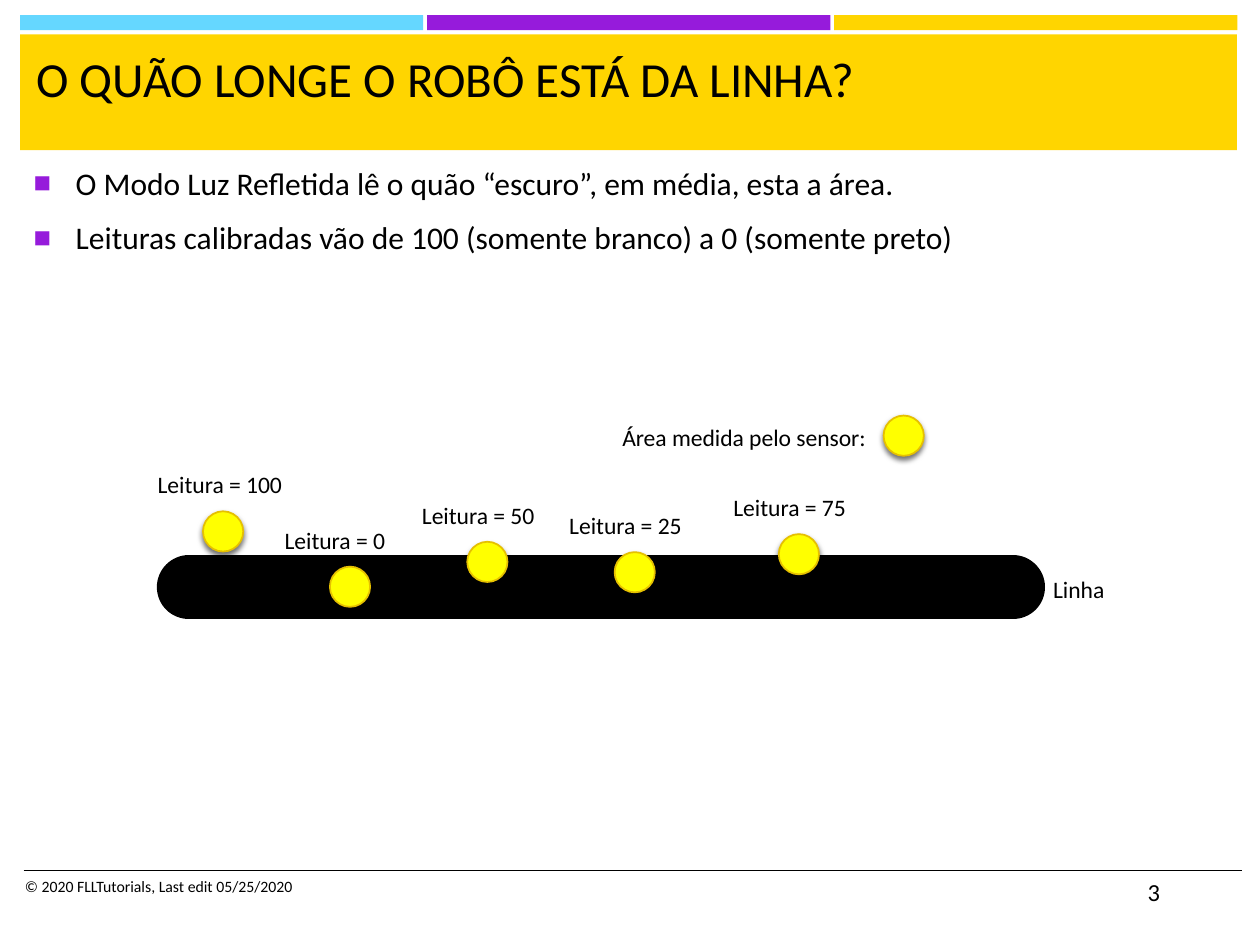
from typing import NamedTuple

from lxml import etree
from pptx import Presentation
from pptx import util as u
from pptx.dml import color
from pptx.enum import shapes, text
from pptx.oxml import ns

BLACK, GOLD, PURPLE, SKY = "000000", "FFD500", "961BDB", "65D7FF"
YELLOW, RIM = "FFFF00", "E6C000"
FACE = "Calibri"
SPOT = 23


class Box(NamedTuple):
    left: float
    top: float
    width: float
    height: float


class Note(NamedTuple):
    box: Box
    words: list[str]
    size: float
    wrap: bool = True
    mark: bool = False


class Probe(NamedTuple):
    left: float
    top: float
    value: int
    width: float


def hue(code: str) -> color.RGBColor:
    return color.RGBColor.from_string(code)


def points(*values: float) -> list[u.Pt]:
    return [u.Pt(value) for value in values]


def put(item, values: dict) -> None:
    for name, value in values.items():
        setattr(item, name, value)


def node(parent, tag: str, **values: str):
    child = etree.SubElement(parent, ns.qn(tag))
    for name, value in values.items():
        child.set(name, value)
    return child


def draw_shape(slide, kind, box: Box, fill: str):
    shape = slide.shapes.add_shape(kind, *points(*box))
    shape.shadow.inherit = False
    shape.fill.solid()
    shape.fill.fore_color.rgb = hue(fill)
    shape.line.fill.background()
    return shape


def draw_spot(slide, left: float, top: float) -> None:
    spot = draw_shape(slide, shapes.MSO_SHAPE.OVAL, Box(left, top, SPOT, SPOT), YELLOW)
    spot.line.color.rgb = hue(RIM)
    spot.line.width = u.Pt(1)
    glow = spot.element.spPr.find(ns.qn("a:effectLst"))
    shade = node(glow, "a:outerShdw", blurRad=str(u.Pt(3)), dist=str(u.Pt(2)),
                 dir="5400000", rotWithShape="0")
    node(node(shade, "a:srgbClr", val=BLACK), "a:alpha", val="55000")


def draw_line(slide, left: float, right: float, level: float, width: float, cap: str) -> None:
    line = slide.shapes.add_connector(
        shapes.MSO_CONNECTOR.STRAIGHT, *points(left, level, right, level))
    line.line.color.rgb = hue(BLACK)
    line.line.width = u.Pt(width)
    line.line._ln.set("cap", cap)
    node(line.element.spPr, "a:effectLst")


def add_mark(para) -> None:
    props = para._p.get_or_add_pPr()
    put(para, {"space_after": u.Pt(6)})
    props.set("marL", str(u.Pt(24)))
    props.set("indent", str(u.Pt(-24)))
    node(node(props, "a:buClr"), "a:srgbClr", val=PURPLE)
    node(props, "a:buSzPct", val="92000")
    node(props, "a:buFont", typeface="Arial")
    node(props, "a:buChar", char="■")


def draw_note(slide, note: Note) -> None:
    frame = slide.shapes.add_textbox(*points(*note.box)).text_frame
    fit = text.MSO_AUTO_SIZE.NONE if note.wrap else text.MSO_AUTO_SIZE.SHAPE_TO_FIT_TEXT
    put(frame, {"word_wrap": note.wrap, "auto_size": fit,
                "vertical_anchor": text.MSO_ANCHOR.TOP})
    for rank, words in enumerate(note.words):
        para = frame.add_paragraph() if rank else frame.paragraphs[0]
        if rank:
            para.space_before = u.Pt(3.6)
        if note.mark:
            add_mark(para)
        run = para.add_run()
        run.text = words
        put(run.font, {"name": FACE, "size": u.Pt(note.size)})
        run.font.color.rgb = hue(BLACK)


def label(left: float, top: float, width: float, words: str) -> Note:
    return Note(Box(left, top, width, 23.8), [words], 13.5, wrap=False)


NOTES = [
    Note(Box(12.2, 90, 695.5, 400), [
        "O Modo Luz Refletida lê o quão “escuro”, em média, esta a área.",
        "Leituras calibradas vão de 100 (somente branco) a 0 (somente preto)",
    ], 18, mark=True),
    Note(Box(7.2, 497.5, 383.8, 28.8), ["© 2020 FLLTutorials, Last edit 05/25/2020"], 9),
    Note(Box(13.7, 24, 689, 58), ["O QUÃO LONGE O ROBÔ ESTÁ DA LINHA?"], 28),
    Note(Box(648.7, 497.5, 60.5, 28.8), ["3"], 14),
    label(348.5, 238.3, 157, "Área medida pelo sensor:"),
    label(594.7, 324.8, 44, "Linha"),
]

PROBES = [
    Probe(116, 292.2, 100, 89.3),
    Probe(188.5, 323.8, 0, 75.6),
    Probe(267, 309.6, 50, 82.8),
    Probe(351.2, 315.5, 25, 82.8),
    Probe(445, 305.2, 75, 82.8),
]


def main() -> None:
    deck = Presentation()
    put(deck, {"slide_width": u.Pt(720), "slide_height": u.Pt(540)})
    slide = deck.slides.add_slide(deck.slide_layouts[6])
    for rank, fill in enumerate([SKY, PURPLE, GOLD]):
        draw_shape(slide, shapes.MSO_SHAPE.RECTANGLE,
                   Box(11.5 + rank * 232.6, 8.7, 230.4, 8.6), fill)
    draw_shape(slide, shapes.MSO_SHAPE.RECTANGLE, Box(11.5, 19.6, 695.3, 66.2), GOLD)
    draw_line(slide, 13.5, 709.5, 497.5, 1, "flat")
    draw_line(slide, 108, 578.8, 335.6, 36.75, "rnd")
    for note in NOTES:
        draw_note(slide, note)
    draw_spot(slide, 504.9, 237.5)
    for probe in PROBES:
        draw_spot(slide, probe.left, probe.top)
        draw_note(slide, label(probe.left - 33, probe.top - 27, probe.width,
                               f"Leitura = {probe.value}"))
    deck.save("out.pptx")


if __name__ == "__main__":
    main()
